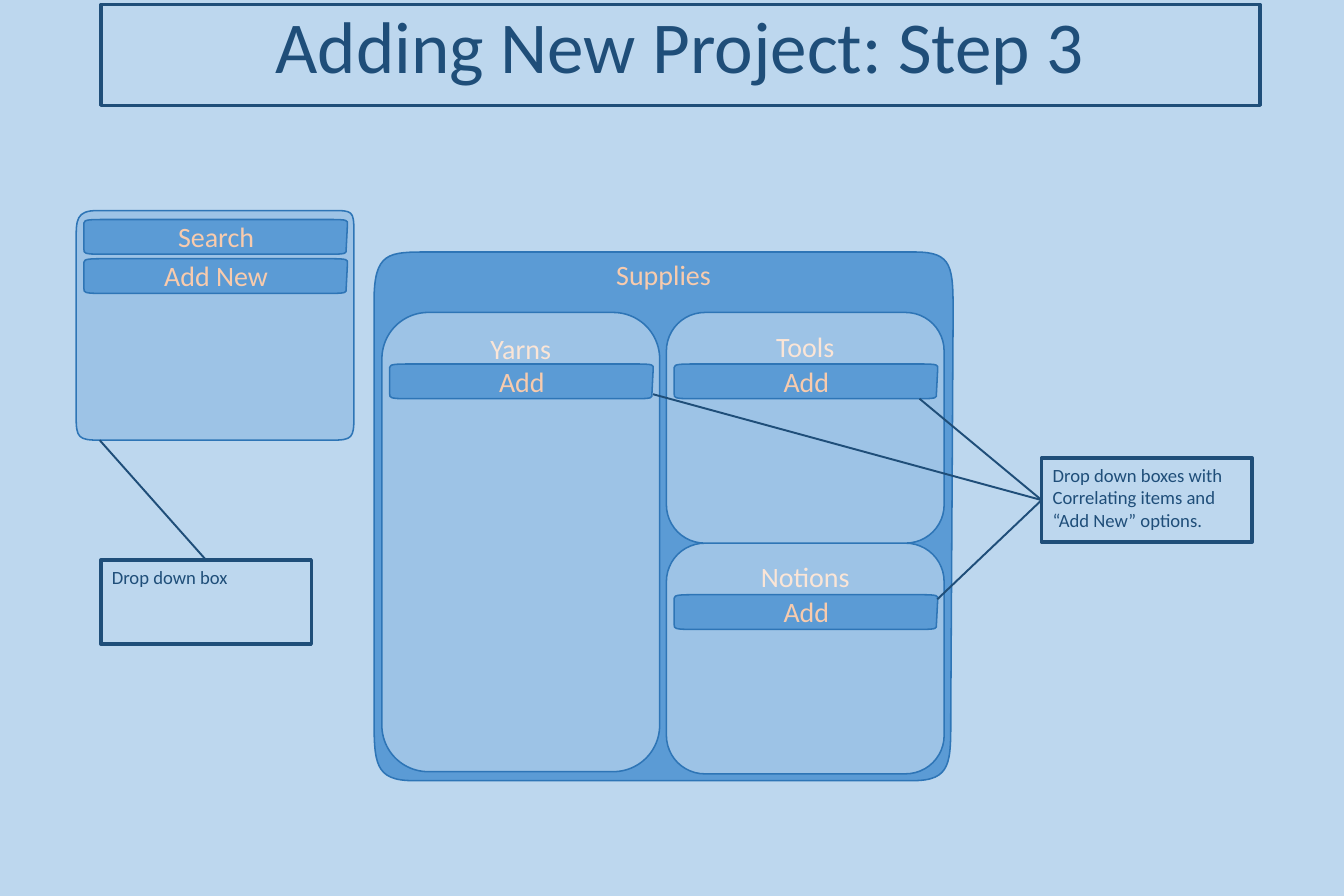
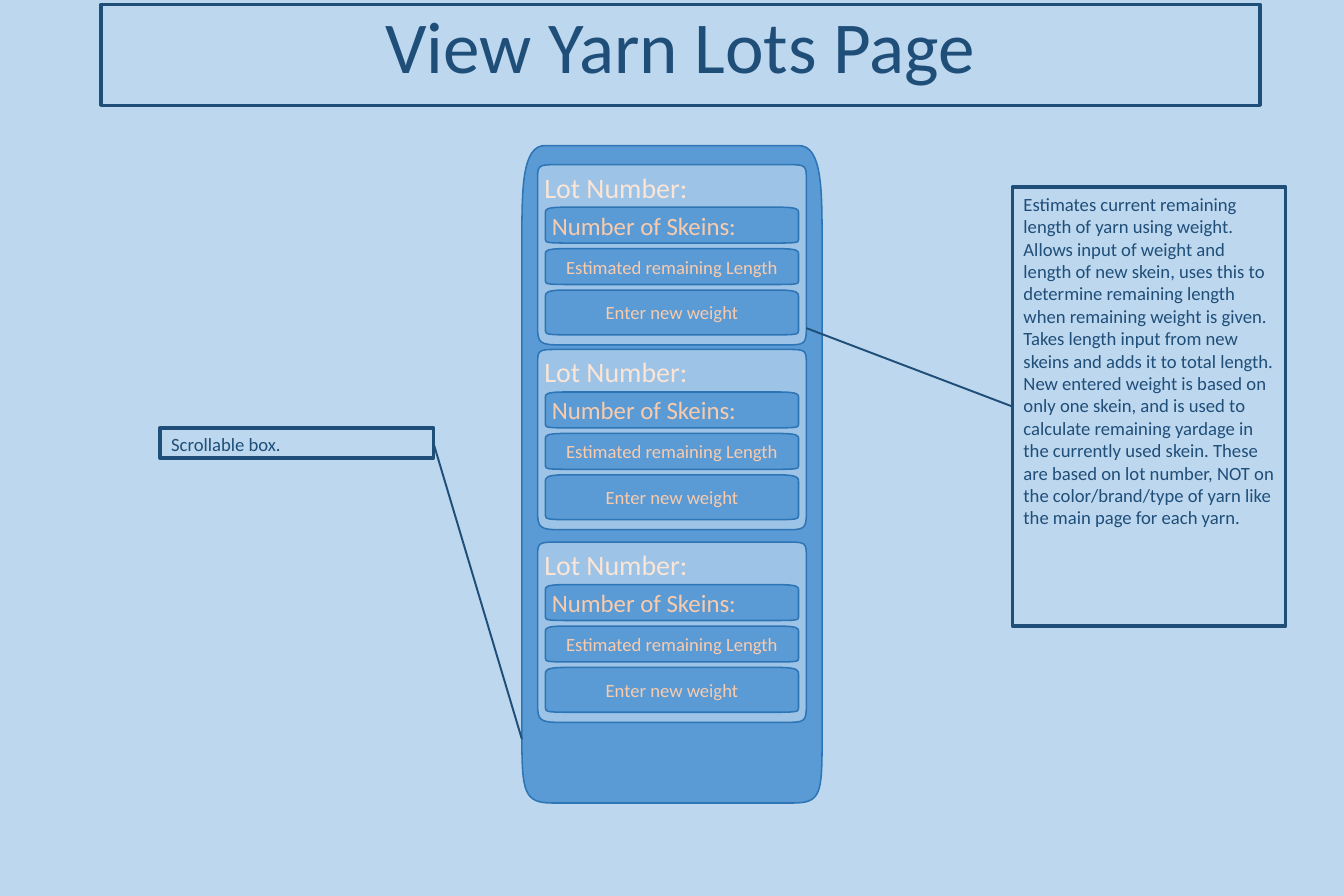
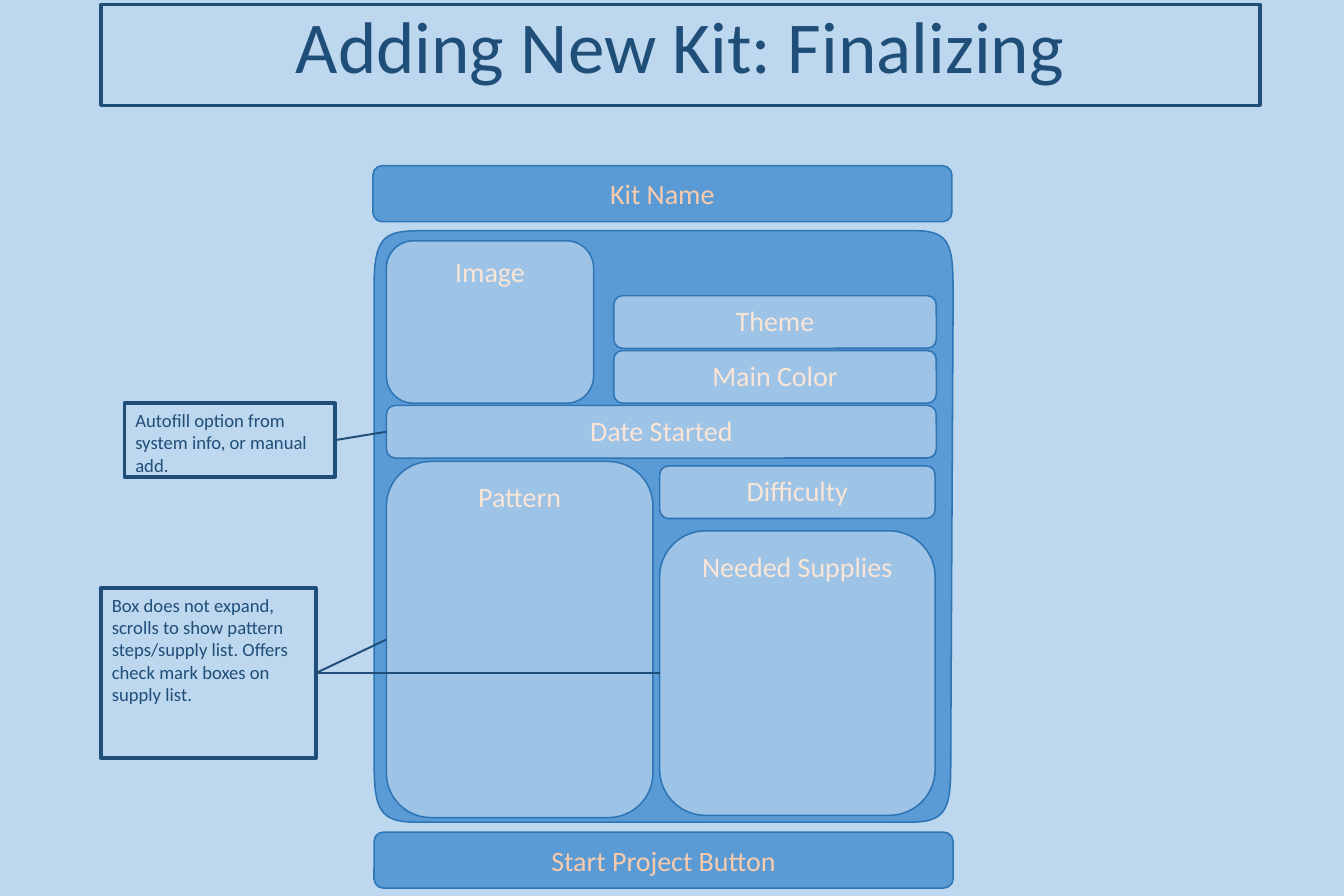
"""Build three wireframe slides for a yarn project planner."""
from lxml import etree
from pptx import Presentation
from pptx.dml.color import RGBColor
from pptx.enum.shapes import MSO_CONNECTOR, MSO_SHAPE
from pptx.enum.text import MSO_ANCHOR, MSO_AUTO_SIZE, PP_ALIGN
from pptx.oxml.ns import qn
from pptx.util import Inches, Pt

SKY = RGBColor(0xBD, 0xD7, 0xEE)
BLUE = RGBColor(0x5B, 0x9B, 0xD5)
LIGHT_BLUE = RGBColor(0x9D, 0xC3, 0xE6)
EDGE = RGBColor(0x2E, 0x75, 0xB6)
NAVY = RGBColor(0x1F, 0x4E, 0x79)
PEACH = RGBColor(0xF8, 0xCB, 0xAD)
CREAM = RGBColor(0xFB, 0xE5, 0xD6)
FONT = "Calibri"
ROUND = MSO_SHAPE.ROUNDED_RECTANGLE
RECT = MSO_SHAPE.RECTANGLE
INSETS = (0.1, 0.05, 0.1, 0.05)
BUTTON_INSETS = (0.1, 0, 0.1, 0.05)

OUTLINE_UNITS = 1000
PANEL = (
    ((0, 93), (0, 0), (25, 0), (93, 0)),
    ((934, 0), (1000, 0), (1000, 28), (1000, 121)),
    ((996, 875), (996, 966), (998, 1000), (930, 1000)),
    ((68, 1000), (0, 1000), (0, 966), (0, 875)),
)
BUTTON = (
    ((0, 100), (0, 0), (22, 0), (92, 0)),
    ((932, 0), (1000, 0), (997, 30), (997, 130)),
    ((992, 870), (992, 970), (997, 1000), (928, 1000)),
    ((68, 1000), (0, 1000), (0, 970), (0, 870)),
)
DROP_DOWN = (
    ((0, 130), (0, 40), (0, 0), (77, 0)),
    ((920, 0), (995, 0), (1000, 0), (1000, 93)),
    ((1000, 898), (1000, 990), (995, 1000), (920, 1000)),
    ((85, 1000), (8, 1000), (0, 990), (0, 898)),
)
SCROLL_PANEL = (
    ((0, 146), (0, 66), (0, 0), (77, 0)),
    ((922, 0), (1000, 0), (1000, 66), (1000, 146)),
    ((1000, 906), (1000, 986), (996, 1000), (903, 1000)),
    ((101, 1000), (8, 1000), (0, 983), (0, 903)),
)
LOT_CARD = (
    ((0, 90), (0, 0), (0, 0), (79, 0)),
    ((925, 0), (1000, 0), (1000, 0), (1000, 90)),
    ((1000, 907), (1000, 1000), (992, 1000), (917, 1000)),
    ((88, 1000), (8, 1000), (0, 990), (0, 897)),
)
LOT_FIELD = (
    ((0, 145), (0, 70), (0, 0), (77, 0)),
    ((920, 0), (1000, 0), (1000, 70), (1000, 145)),
    ((1000, 905), (1000, 990), (995, 1000), (903, 1000)),
    ((100, 1000), (9, 1000), (0, 990), (0, 905)),
)


def draw(slide, outline, box, fill=None, text="", size=18,
         anchor=MSO_ANCHOR.TOP, insets=INSETS):
    left, top, width, height = box
    if isinstance(outline, tuple):
        points = [
            (Inches(left + width * x / OUTLINE_UNITS), Inches(top + height * y / OUTLINE_UNITS))
            for corner in outline for x, y in corner
        ]
        builder = slide.shapes.build_freeform(*points[0])
        builder.add_line_segments(points[1:], close=True)
        shape = builder.convert_to_shape()
        segments = list(shape._element.iter(qn("a:lnTo")))
        for first in range(0, 4 * len(outline), 4):
            curve = etree.Element(qn("a:cubicBezTo"))
            segments[first].addprevious(curve)
            for segment in segments[first:first + 3]:
                curve.append(segment[0])
                segment.getparent().remove(segment)
    else:
        shape = slide.shapes.add_shape(outline, *map(Inches, box))
    shape.shadow.inherit = False
    if fill is None:
        shape.fill.background()
    else:
        shape.fill.solid()
        shape.fill.fore_color.rgb = fill
    shape.line.color.rgb = EDGE if fill else NAVY
    shape.line.width = Pt(1 if fill else 2.25)
    if text:
        frame = shape.text_frame
        frame.word_wrap = True
        frame.vertical_anchor = anchor
        frame.margin_left, frame.margin_top, frame.margin_right, frame.margin_bottom = map(Inches, insets)
        frame.text = text
        paragraph = frame.paragraphs[0]
        paragraph.alignment = PP_ALIGN.CENTER if fill else PP_ALIGN.LEFT
        font = paragraph.runs[0].font
        font.name = FONT
        font.size = Pt(size)
        font.color.rgb = {None: NAVY, BLUE: PEACH, LIGHT_BLUE: CREAM}[fill]
    return shape


def link(slide, note, note_side, target, target_side=None):
    end = (0, 0) if target_side is not None else target
    line = slide.shapes.add_connector(MSO_CONNECTOR.STRAIGHT, 0, 0, *map(Inches, end))
    line.begin_connect(note, note_side)
    if target_side is not None:
        line.end_connect(target, target_side)
    line.line.color.rgb = NAVY
    line.line.width = Pt(1.25)
    etree.SubElement(line._element.spPr, qn("a:effectLst"))


prs = Presentation()
prs.slide_width = Inches(12)
prs.slide_height = Inches(8)
prs.slide_master.background.fill.solid()
prs.slide_master.background.fill.fore_color.rgb = SKY

slides = []
for heading in ("Adding New Project: Step 3", "View Yarn Lots Page", "Adding New Kit: Finalizing"):
    slide = prs.slides.add_slide(prs.slide_layouts[5])
    title = slide.shapes.title
    title.left, title.top, title.width, title.height = map(Inches, (0.9, 0.04, 10.35, 0.9))
    title.line.color.rgb = NAVY
    title.line.width = Pt(2.25)
    title.text_frame.text = heading
    title.text_frame.auto_size = MSO_AUTO_SIZE.NONE
    title.text_frame.vertical_anchor = MSO_ANCHOR.TOP
    paragraph = title.text_frame.paragraphs[0]
    paragraph.alignment = PP_ALIGN.CENTER
    paragraph.line_spacing = 0.9
    font = paragraph.runs[0].font
    font.name = FONT
    font.size = Pt(47)
    font.color.rgb = NAVY
    slides.append(slide)
project, lots, kit = slides

draw(project, PANEL, (3.34, 2.25, 5.17, 4.72), BLUE, "Supplies")
for supply, left, top, height in (
    ("Notions", 5.95, 4.85, 2.06),
    ("Yarns", 3.41, 2.79, 4.1),
    ("Tools", 5.95, 2.79, 2.06),
):
    draw(project, ROUND, (left, top, 2.48, height), LIGHT_BLUE, supply)
    draw(project, BUTTON, (left + 0.07, top + 0.46, 2.36, 0.31), BLUE, "Add", insets=BUTTON_INSETS)
options_note = draw(project, RECT, (9.3, 4.09, 1.88, 0.75),
                    text="Drop down boxes with Correlating items and “Add New” options.", size=12)
for add_corner in ((5.83, 3.52), (8.37, 5.35), (8.21, 3.56)):
    link(project, options_note, 1, add_corner)

draw(project, DROP_DOWN, (0.68, 1.88, 2.48, 2.05), LIGHT_BLUE)
for action, top in (("Add New", 2.31), ("Search", 1.96)):
    draw(project, BUTTON, (0.75, top, 2.36, 0.31), BLUE, action, insets=BUTTON_INSETS)
drop_note = draw(project, RECT, (0.9, 5, 1.88, 0.75), text="Drop down box", size=12)
link(project, drop_note, 0, (0.89, 3.93))

draw(lots, SCROLL_PANEL, (4.66, 1.3, 2.68, 5.87), BLUE)
for top in (1.47, 4.84, 3.12):
    draw(lots, LOT_CARD, (4.8, top, 2.4, 1.61), LIGHT_BLUE, "Lot Number:", insets=(0, 0.05, 1, 0.05))
    for field, offset, height, size, insets in (
        ("Number of Skeins:", 0.38, 0.32, 16, (0, 0.05, 0.5, 0.05)),
        ("Estimated remaining Length", 0.75, 0.32, 12, INSETS),
        ("Enter new weight", 1.12, 0.4, 12, INSETS),
    ):
        draw(lots, LOT_FIELD, (4.87, top + offset, 2.26, height), BLUE, field, size,
             MSO_ANCHOR.MIDDLE, insets)
estimate_note = draw(lots, RECT, (9.04, 1.67, 2.44, 3.92), size=12, text=(
    "Estimates current remaining length of yarn using weight. Allows input of weight and length "
    "of new skein, uses this to determine remaining length when remaining weight is given. "
    "Takes length input from new skeins and adds it to total length. New entered weight is based "
    "on only one skein, and is used to calculate remaining yardage in the currently used skein. "
    "These are based on lot number, NOT on the color/brand/type of yarn like the main page for "
    "each yarn."))
link(lots, estimate_note, 1, (7.2, 2.93))
scroll_note = draw(lots, RECT, (1.43, 3.82, 2.44, 0.27), text="Scrollable box.", size=12)
link(lots, scroll_note, 3, (4.66, 6.6))

draw(kit, PANEL, (3.34, 2.06, 5.17, 5.28), BLUE)
parts = {}
for part, box in (
    ("Image", (3.45, 2.15, 1.85, 1.45)),
    ("Theme", (5.48, 2.64, 2.88, 0.47)),
    ("Main Color", (5.48, 3.13, 2.88, 0.47)),
    ("Pattern", (3.45, 4.12, 2.38, 3.18)),
    ("Difficulty", (5.89, 4.16, 2.46, 0.47)),
    ("Needed Supplies", (5.89, 4.74, 2.46, 2.54)),
    ("Date Started", (3.45, 3.62, 4.91, 0.47)),
):
    parts[part] = draw(kit, ROUND, box, LIGHT_BLUE, part)
for bar, left, top in (("Start Project Button", 3.34, 7.43), ("Kit Name", 3.33, 1.48)):
    draw(kit, ROUND, (left, top, 5.17, 0.5), BLUE, bar, anchor=MSO_ANCHOR.MIDDLE)
list_note = draw(kit, RECT, (0.9, 5.25, 1.92, 1.52), size=12, text=(
    "Box does not expand, scrolls to show pattern steps/supply list. "
    "Offers check mark boxes on supply list."))
autofill_note = draw(kit, RECT, (1.11, 3.6, 1.88, 0.66),
                     text="Autofill option from system info, or manual add.", size=12)
for note, part in (
    (list_note, "Pattern"),
    (list_note, "Needed Supplies"),
    (autofill_note, "Date Started"),
):
    link(kit, note, 3, parts[part], 1)

prs.save("out.pptx")
